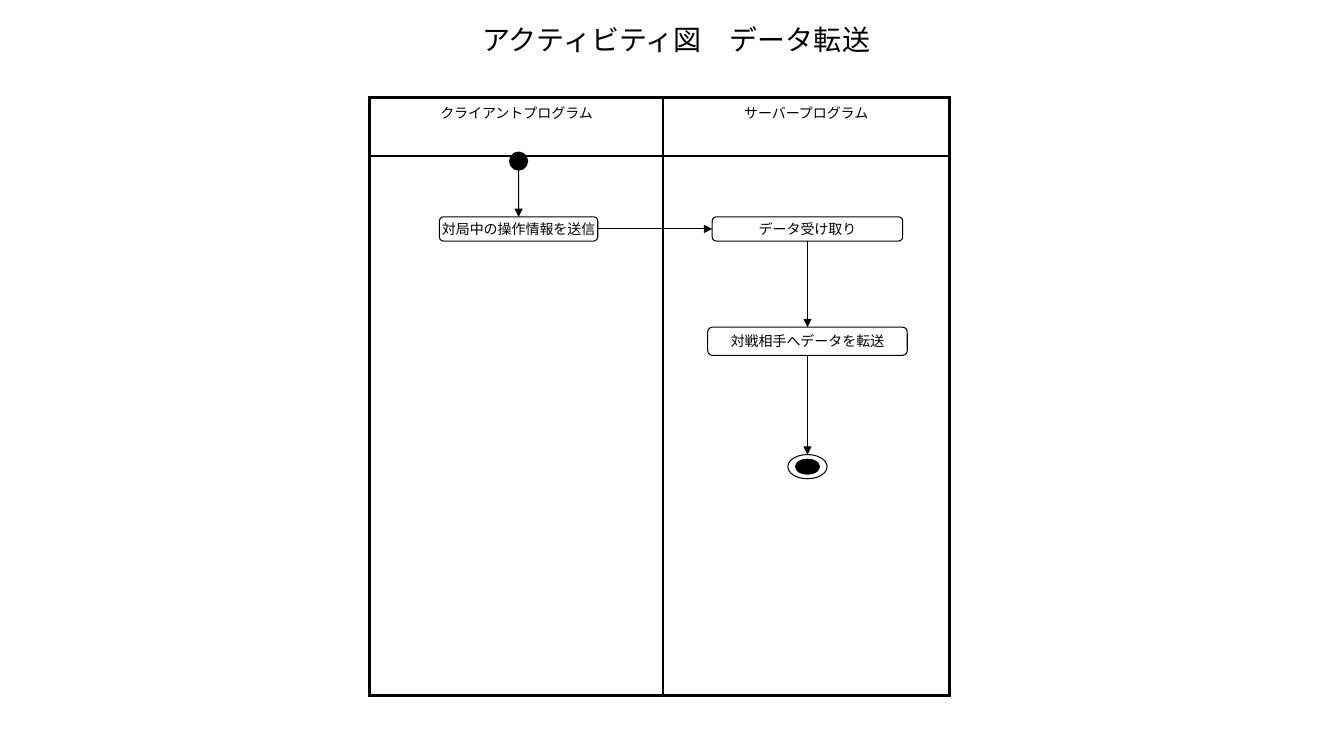
from dataclasses import dataclass

from lxml import etree
from pptx import Presentation
from pptx.dml.color import RGBColor
from pptx.enum.shapes import MSO_CONNECTOR, MSO_SHAPE
from pptx.enum.text import MSO_ANCHOR, PP_ALIGN
from pptx.oxml.ns import qn
from pptx.util import Cm, Pt

STRAIGHT = MSO_CONNECTOR.STRAIGHT
ROUNDED, OVAL = MSO_SHAPE.ROUNDED_RECTANGLE, MSO_SHAPE.OVAL
MIDDLE, CENTER = MSO_ANCHOR.MIDDLE, PP_ALIGN.CENTER

# Connection sites
TOP, LEFT, BOTTOM, RIGHT = range(4)


@dataclass(frozen=True)
class Theme:
    ink: RGBColor = RGBColor(0, 0, 0)
    paper: RGBColor = RGBColor(255, 255, 255)
    font: str = "Times New Roman"
    title_size: Pt = Pt(20)
    text_size: Pt = Pt(10)
    thin: Pt = Pt(0.75)
    inner: Pt = Pt(1)
    node: Pt = Pt(2)
    outer: Pt = Pt(2.25)


THEME = Theme()

# Lane geometry in cm
LANES_LEFT, LANES_TOP = 9.32, 2.46
LANE_WIDTHS = (7.39, 7.21)
ROW_HEIGHTS = (1.47, 13.59)
CLIENT_X, SERVER_X = 13.07, 20.35


def write_text(tf, text, size):
    p = tf.paragraphs[0]
    p.alignment = CENTER
    r = p.add_run()
    r.text = text
    r.font.name = THEME.font
    r.font.size = size
    r.font.bold = False
    r.font.color.rgb = THEME.ink
    return p


def set_title(s, text):
    title = s.shapes.title
    title.left, title.top = Cm(4.34), Cm(0.48)
    title.width, title.height = Cm(25.4), Cm(1.04)
    title.text_frame.vertical_anchor = MIDDLE
    write_text(title.text_frame, text, THEME.title_size)


def set_border(cell, side, width):
    ln = etree.SubElement(cell._tc.get_or_add_tcPr(), qn(f"a:ln{side}"), w=str(int(width)))
    fill = etree.SubElement(ln, qn("a:solidFill"))
    etree.SubElement(fill, qn("a:srgbClr"), val=str(THEME.ink))


def add_lanes(s, names):
    rows, cols = len(ROW_HEIGHTS), len(names)
    frame = s.shapes.add_table(rows, cols, Cm(LANES_LEFT), Cm(LANES_TOP),
                               Cm(sum(LANE_WIDTHS)), Cm(sum(ROW_HEIGHTS)))
    table = frame.table
    table.first_row = table.horz_banding = False
    for column, width in zip(table.columns, LANE_WIDTHS):
        column.width = Cm(width)
    for row, height in zip(table.rows, ROW_HEIGHTS):
        row.height = Cm(height)

    # Heavy frame outside, light rules inside
    for i in range(rows):
        for j in range(cols):
            cell = table.cell(i, j)
            on_edge = {"L": j == 0, "R": j == cols - 1, "T": i == 0, "B": i == rows - 1}
            for side, edge in on_edge.items():
                set_border(cell, side, THEME.outer if edge else THEME.inner)
            cell.fill.background()

    for j, name in enumerate(names):
        p = write_text(table.cell(0, j).text_frame, name, THEME.text_size)
        p.space_before = Pt(2)


def add_node(shapes, kind, x, y, width, height, fill, line_width):
    """Add a shape centred on x, y."""
    node = shapes.add_shape(kind, Cm(x - width / 2), Cm(y - height / 2),
                            Cm(width), Cm(height))
    node.shadow.inherit = False
    node.fill.solid()
    node.fill.fore_color.rgb = fill
    node.line.color.rgb = THEME.ink
    node.line.width = line_width
    return node


def add_action(s, text, x, y, width, height=0.61):
    box = add_node(s.shapes, ROUNDED, x, y, width, height, THEME.paper, THEME.thin)
    tf = box.text_frame
    tf.word_wrap = False
    tf.vertical_anchor = MIDDLE
    write_text(tf, text, THEME.text_size)
    return box


def add_final_node(s, x, y):
    group = s.shapes.add_group_shape()
    ring = add_node(group.shapes, OVAL, x, y, 0.99, 0.61, THEME.paper, THEME.thin)
    add_node(group.shapes, OVAL, x, y, 0.56, 0.33, THEME.ink, THEME.node)
    return ring


def add_flow(s, source, source_site, target, target_site):
    arrow = s.shapes.add_connector(STRAIGHT, 0, 0, 0, 0)
    arrow.begin_connect(source, source_site)
    arrow.end_connect(target, target_site)
    arrow.line.color.rgb = THEME.ink
    arrow.line.width = THEME.thin
    etree.SubElement(arrow.line._get_or_add_ln(), qn("a:tailEnd"), type="triangle")
    etree.SubElement(arrow._element.spPr, qn("a:effectLst"))


def main():
    prs = Presentation()
    prs.slide_width, prs.slide_height = Cm(33.87), Cm(19.05)
    s = prs.slides.add_slide(prs.slide_layouts[5])

    # Title and swimlanes
    set_title(s, "アクティビティ図　データ転送")
    add_lanes(s, ("クライアントプログラム", "サーバープログラム"))

    # Client activities
    start = add_node(s.shapes, OVAL, CLIENT_X, 4.06, 0.41, 0.41, THEME.ink, THEME.node)
    send = add_action(s, "対局中の操作情報を送信", CLIENT_X, 5.77, 3.99)

    # Server activities
    receive = add_action(s, "データ受け取り", SERVER_X, 5.77, 4.8)
    forward = add_action(s, "対戦相手へデータを転送", SERVER_X, 8.6, 5.03, 0.71)
    final = add_final_node(s, SERVER_X, 11.76)

    # Control flow
    add_flow(s, start, TOP, send, TOP)
    add_flow(s, send, RIGHT, receive, LEFT)
    add_flow(s, receive, BOTTOM, forward, TOP)
    add_flow(s, forward, BOTTOM, final, TOP)

    prs.save("out.pptx")


main()
